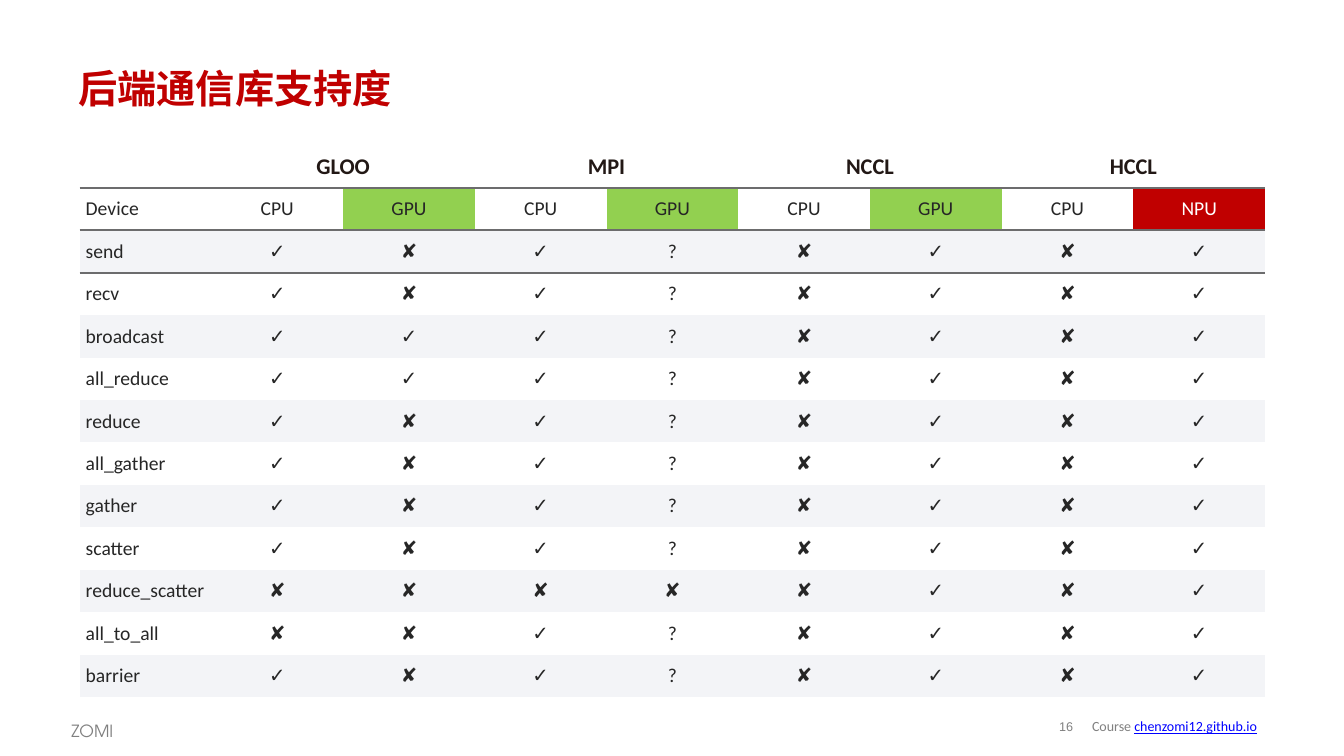
from lxml import etree
from pptx import Presentation
from pptx.dml.color import RGBColor
from pptx.enum.text import MSO_ANCHOR, PP_ALIGN
from pptx.oxml.ns import qn
from pptx.util import Cm, Pt

MIDDLE, TOP = MSO_ANCHOR.MIDDLE, MSO_ANCHOR.TOP
LEFT, CENTER = PP_ALIGN.LEFT, PP_ALIGN.CENTER
BODY_FONT, TITLE_FONT = "Calibri", "TeX Gyre Adventor"
INK, GRAY, WHITE, BAND = "262626", "808080", "FFFFFF", "F3F4F7"
GREEN, RED, RULE = "92D050", "C00000", "6C6C6D"
NO_STYLE = "{2D5ABB26-0587-4C30-8999-92F81FD0307C}"

LIBRARIES = ["GLOO", "MPI", "NCCL", "HCCL"]
DEVICES = ["Device", "CPU", "GPU", "CPU", "GPU", "CPU", "GPU", "CPU", "NPU"]
DEVICE_FILLS = {"GPU": GREEN, "NPU": RED}
SUPPORT = {
    "send": "✓✘✓?✘✓✘✓",
    "recv": "✓✘✓?✘✓✘✓",
    "broadcast": "✓✓✓?✘✓✘✓",
    "all_reduce": "✓✓✓?✘✓✘✓",
    "reduce": "✓✘✓?✘✓✘✓",
    "all_gather": "✓✘✓?✘✓✘✓",
    "gather": "✓✘✓?✘✓✘✓",
    "scatter": "✓✘✓?✘✓✘✓",
    "reduce_scatter": "✘✘✘✘✘✓✘✓",
    "all_to_all": "✘✘✓?✘✓✘✓",
    "barrier": "✓✘✓?✘✓✘✓",
}


def rgb(color):
    return RGBColor.from_string(color)


def format_font(font, name, size, color, bold=False):
    font.name, font.size, font.bold = name, Pt(size), bold
    font.color.rgb = rgb(color)


prs = Presentation()
prs.slide_width, prs.slide_height = Cm(33.88), Cm(19.05)
slide = prs.slides.add_slide(prs.slide_layouts[6])

# Title and footer: text, box, margin, anchor, alignment, line spacing, font
captions = [
    ("后端通信库支持度", (1.73, 1.4, 30.45, 1.63), 0.25, MIDDLE, LEFT, 1,
     (TITLE_FONT, 28, RED, True)),
    ("16", (26.42, 17.93, 0.91, 0.79), 0, MIDDLE, CENTER, 0.85, ("Arial", 9, GRAY)),
    ("ZOMI", (1.55, 17.93, 2.03, 0.81), 0.25, TOP, LEFT, 1.2, (TITLE_FONT, 12, GRAY)),
    ("Course ", (27.28, 17.93, 6.25, 0.74), 0.25, MIDDLE, LEFT, 1, (BODY_FONT, 10, GRAY)),
]
for text, box, margin, anchor, align, spacing, font in captions:
    frame = slide.shapes.add_textbox(*map(Cm, box)).text_frame
    frame.word_wrap = True
    frame.vertical_anchor = anchor
    frame.margin_left = frame.margin_right = Cm(margin)
    frame.margin_top = frame.margin_bottom = Cm(margin / 2)
    frame.text = text
    caption = frame.paragraphs[0]
    caption.alignment, caption.line_spacing = align, spacing
    format_font(caption.runs[0].font, *font)

# The course address follows the last caption
address = caption.add_run()
address.text = "chenzomi12.github.io"
format_font(address.font, BODY_FONT, 10, "0000FF")
address.font.underline = True

# Support table: library headings, device row, then one row per operation
library_row = [""]
for library in LIBRARIES:
    library_row += [library, ""]
rows = [library_row, DEVICES] + [[name, *marks] for name, marks in SUPPORT.items()]
column_width, row_height = Cm(3.32), Cm(1.07)
table = slide.shapes.add_table(
    len(rows), len(DEVICES), Cm(2.01), Cm(3.66),
    column_width * len(DEVICES), row_height * len(rows)).table
table.first_row = table.horz_banding = False
table._tbl.tblPr.find(qn("a:tableStyleId")).text = NO_STYLE
for column in table.columns:
    column.width = column_width
for row in table.rows:
    row.height = row_height
for first in range(1, len(DEVICES), 2):
    table.cell(0, first).merge(table.cell(0, first + 1))

for r, values in enumerate(rows):
    edges = {0: ["a:lnB"], 1: ["a:lnT", "a:lnB"], 2: ["a:lnT"]}.get(r, [])
    for c, value in enumerate(values):
        cell = table.cell(r, c)
        cell.vertical_anchor = MIDDLE
        cell.margin_left = cell.margin_right = Cm(0.15)
        cell.margin_top = cell.margin_bottom = Cm(0.08)
        for edge in edges:
            line = etree.SubElement(cell._tc.get_or_add_tcPr(), qn(edge), w=str(Pt(1.5)))
            solid = etree.SubElement(line, qn("a:solidFill"))
            etree.SubElement(solid, qn("a:srgbClr"), val=RULE)
        if r == 0:
            cell.fill.background()
        else:
            cell.fill.solid()
            band = WHITE if r % 2 else BAND
            cell.fill.fore_color.rgb = rgb(DEVICE_FILLS.get(value, band))
        if not value:
            continue
        cell.text_frame.text = value
        paragraph = cell.text_frame.paragraphs[0]
        paragraph.alignment = CENTER if c else LEFT
        font = paragraph.runs[0].font
        if r == 0:
            format_font(font, BODY_FONT, 16, "221815", True)
        else:
            format_font(font, BODY_FONT, 14, WHITE if value == "NPU" else INK)

prs.save("out.pptx")
